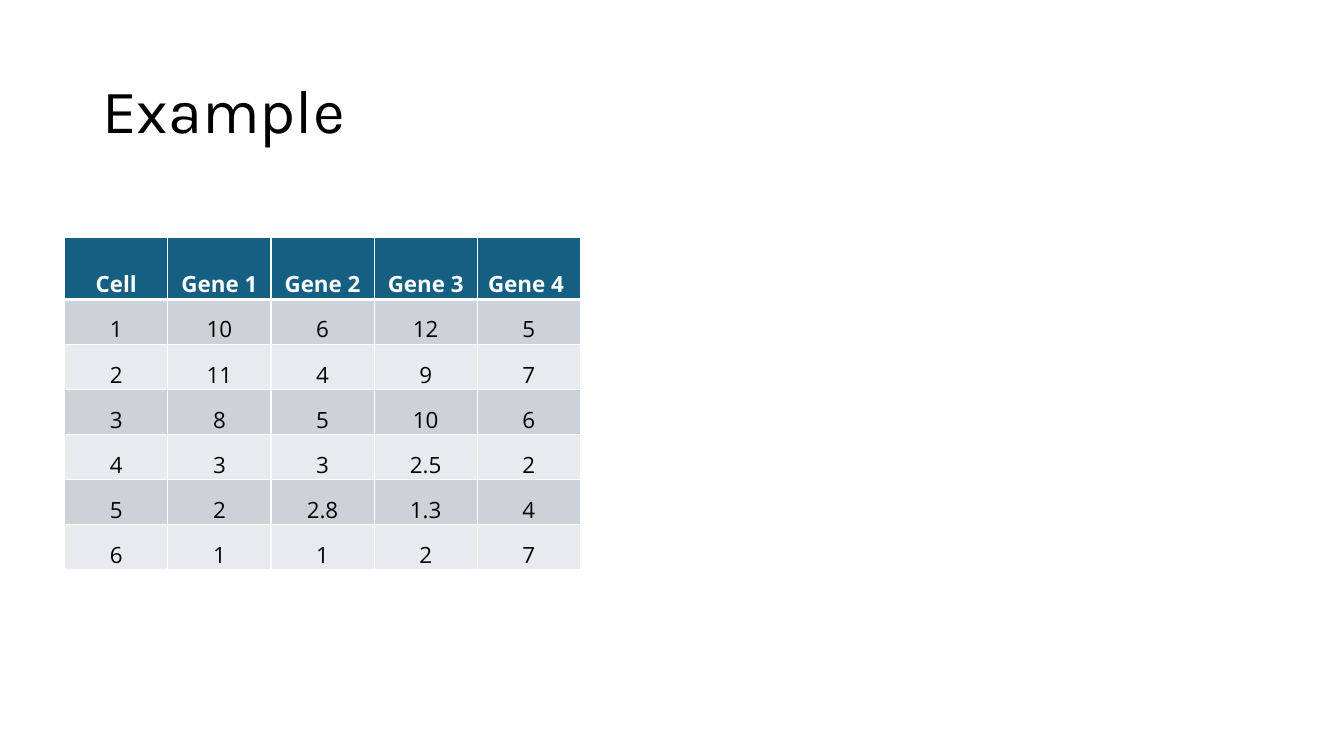
from lxml import etree
from pptx import Presentation
from pptx.dml.color import RGBColor
from pptx.enum.text import MSO_ANCHOR, PP_ALIGN
from pptx.oxml.ns import qn
from pptx.util import Pt

MIDDLE, BOTTOM = MSO_ANCHOR.MIDDLE, MSO_ANCHOR.BOTTOM
CENTER = PP_ALIGN.CENTER
BLANK_LAYOUT = 6

WHITE, BLACK = "FFFFFF", "000000"
HEADER_FILL = "156082"
BAND_FILLS = ("CCD2D8", "E8EAED")
HEADER_HEIGHT = 44
THIN, THICK = 1, 3

EXPRESSION = [
    ("Cell", "Gene 1", "Gene 2", "Gene 3", "Gene 4 "),
    ("1", "10", "6", "12", "5"),
    ("2", "11", "4", "9", "7"),
    ("3", "8", "5", "10", "6"),
    ("4", "3", "3", "2.5", "2"),
    ("5", "2", "2.8", "1.3", "4"),
    ("6", "1", "1", "2", "7"),
]


def color(hex_string):
    return RGBColor.from_string(hex_string)


def add_run(paragraph, text, font_name, size, hex_string, bold=False):
    run = paragraph.add_run()
    run.text = text
    run.font.name = font_name
    run.font.size = Pt(size)
    run.font.bold = bold
    run.font.color.rgb = color(hex_string)


def add_title(slide, text, left, top, width, height):
    shape = slide.shapes.add_textbox(Pt(left), Pt(top), Pt(width), Pt(height))
    frame = shape.text_frame
    frame.word_wrap = True
    frame.vertical_anchor = MIDDLE
    paragraph = frame.paragraphs[0]
    paragraph.line_spacing = 0.9
    add_run(paragraph, text, "Karla", 44, BLACK)


def set_borders(cell, top, bottom):
    properties = cell._tc.get_or_add_tcPr()
    for side, width in (("L", THIN), ("R", THIN), ("T", top), ("B", bottom)):
        line = etree.SubElement(properties, qn(f"a:ln{side}"), w=str(Pt(width)))
        fill = etree.SubElement(line, qn("a:solidFill"))
        etree.SubElement(fill, qn("a:srgbClr"), val=WHITE)


def fill_cell(cell, text, row):
    is_header = row == 0
    cell.vertical_anchor = BOTTOM
    cell.margin_left = cell.margin_right = cell.margin_top = Pt(0.75)
    cell.margin_bottom = 0

    # The thick rule runs between the header and the first row
    set_borders(cell, THICK if row == 1 else THIN, THICK if is_header else THIN)
    cell.fill.solid()
    cell.fill.fore_color.rgb = color(
        HEADER_FILL if is_header else BAND_FILLS[(row - 1) % 2])

    paragraph = cell.text_frame.paragraphs[0]
    paragraph.alignment = CENTER
    add_run(paragraph, text, "Open Sans", 16,
            WHITE if is_header else BLACK, bold=is_header)


def add_gene_table(slide, rows, left, top, width, height):
    column_count = len(rows[0])
    table = slide.shapes.add_table(
        len(rows), column_count, Pt(left), Pt(top), Pt(width), Pt(height)).table
    table.first_row = table.horz_banding = False

    # Equal columns; a taller header above equal rows
    for column in table.columns:
        column.width = Pt(width / column_count)
    row_height = (height - HEADER_HEIGHT) / (len(rows) - 1)
    for index, table_row in enumerate(table.rows):
        table_row.height = Pt(row_height if index else HEADER_HEIGHT)

    for row, values in enumerate(rows):
        for column, text in enumerate(values):
            fill_cell(table.cell(row, column), text, row)


def main():
    presentation = Presentation()
    presentation.slide_width, presentation.slide_height = Pt(960), Pt(540)
    slide = presentation.slides.add_slide(
        presentation.slide_layouts[BLANK_LAYOUT])
    add_title(slide, "Example", 66, 28.75, 828, 104.4)
    add_gene_table(slide, EXPRESSION, 46.2, 169.9, 368.5, 237.2)
    presentation.save("out.pptx")


if __name__ == "__main__":
    main()
